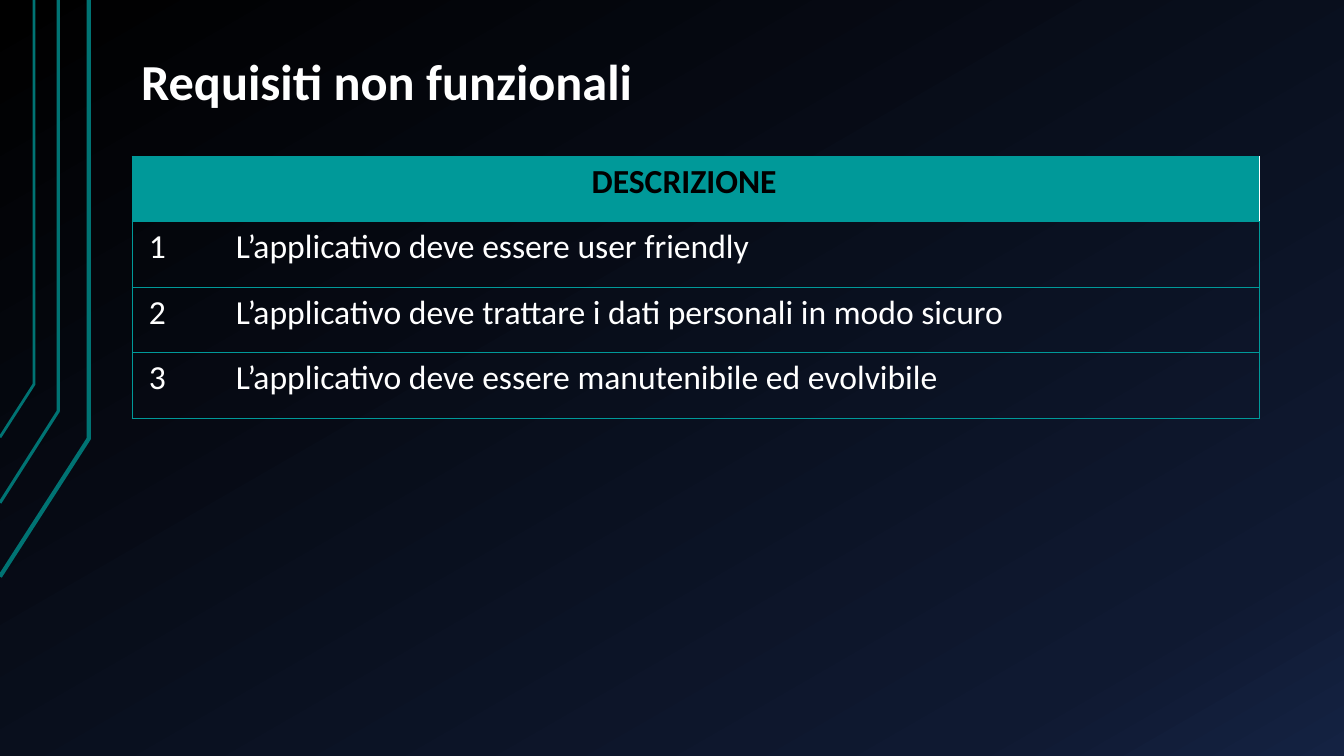
import copy
from dataclasses import dataclass

import pptx
import pptx.dml.color
import pptx.enum.text
import pptx.oxml
import pptx.oxml.ns
import pptx.util
from pptx.util import Cm


@dataclass(frozen=True)
class Theme:
    font: str = "Calibri"
    title_size: float = 36
    table_size: float = 24
    white: str = "FFFFFF"
    black: str = "000000"
    teal: str = "009999"
    dark_teal: str = "007373"
    gradient: tuple = ((0, "000000"), (0.85, "0F1931"), (1, "142242"))


THEME = Theme()
PLAIN_TABLE_STYLE = "{2D5ABB26-0587-4C30-8999-92F81FD0307C}"
REQUIREMENTS = (
    "L’applicativo deve essere user friendly",
    "L’applicativo deve trattare i dati personali in modo sicuro",
    "L’applicativo deve essere manutenibile ed evolvibile",
)


def rgb(value):
    return pptx.dml.color.RGBColor.from_string(value)


def style_font(para, size, color, bold=False):
    para.font.name = THEME.font
    para.font.size = pptx.util.Pt(size)
    para.font.bold = bold
    para.font.color.rgb = rgb(color)


def paint_background(page):
    fill = page.background.fill
    fill.gradient()
    fill.gradient_angle = 300
    last_stop = fill._fill._gradFill.gsLst[-1]
    last_stop.addprevious(copy.deepcopy(last_stop))
    for stop, (position, color) in zip(fill.gradient_stops, THEME.gradient):
        stop.position = position
        stop.color.rgb = rgb(color)


def add_corner_lines(page, left, top):
    # Each line: horizontal reach, height of the bend, height at the edge, width
    lines = ((2.24, 11.05, 14.53, 3), (1.47, 10.36, 12.67, 2.25), (0.86, 9.68, 11.02, 2))
    for reach, bend, end, width in lines:
        builder = page.shapes.build_freeform(left, top + Cm(end))
        builder.add_line_segments(
            [(left + Cm(reach), top + Cm(bend)), (left + Cm(reach), top)], close=False)
        shape = builder.convert_to_shape()
        shape.shadow.inherit = False
        shape.fill.background()
        shape.line.color.rgb = rgb(THEME.dark_teal)
        shape.line.width = pptx.util.Pt(width)


def place_title(page, left, top, width, height):
    title = page.shapes.title
    title.left, title.top, title.width, title.height = left, top, width, height
    frame = title.text_frame
    frame.word_wrap = True
    frame.auto_size = pptx.enum.text.MSO_AUTO_SIZE.SHAPE_TO_FIT_TEXT
    frame.vertical_anchor = pptx.enum.text.MSO_ANCHOR.MIDDLE
    para = frame.paragraphs[0]
    para.text = "Requisiti non funzionali"
    para.alignment = pptx.enum.text.PP_ALIGN.LEFT
    style_font(para, THEME.title_size, THEME.white, bold=True)


def set_borders(cell, **edges):
    """Draw the named edges (L, R, T, B) as (colour, points); the rest stay bare."""
    properties = cell._tc.get_or_add_tcPr()
    namespace = pptx.oxml.ns.nsdecls("a")
    for side in "LRTB":
        color, points = edges.get(side, (None, 0))
        paint = f'<a:solidFill><a:srgbClr val="{color}"/></a:solidFill>' if color else "<a:noFill/>"
        properties.append(pptx.oxml.parse_xml(
            f'<a:ln{side} {namespace} w="{pptx.util.Pt(points)}">{paint}</a:ln{side}>'))


def fill_cell(cell, text, color, bold=False):
    para = cell.text_frame.paragraphs[0]
    para.text = text
    style_font(para, THEME.table_size, color, bold)


def add_requirements_table(page, left, top, width, height):
    number_width = Cm(2.36)
    row_count = len(REQUIREMENTS) + 1
    table = page.shapes.add_table(row_count, 2, left, top, width, height).table
    table._tbl.tblPr.find(pptx.oxml.ns.qn("a:tableStyleId")).text = PLAIN_TABLE_STYLE
    table.horz_banding = False
    table.columns[0].width = number_width
    table.columns[1].width = width - number_width
    for row in table.rows:
        row.height = height // row_count

    # Borders
    teal_edge = (THEME.teal, 0.75)
    for index in range(row_count):
        right_edge = teal_edge if index else (THEME.white, 1)
        set_borders(table.cell(index, 0), L=teal_edge, T=teal_edge, B=teal_edge)
        set_borders(table.cell(index, 1), R=right_edge, T=teal_edge, B=teal_edge)

    # Header
    for cell in table.rows[0].cells:
        cell.fill.solid()
        cell.fill.fore_color.rgb = rgb(THEME.teal)
    heading = table.cell(0, 1)
    heading.margin_left = Cm(9.22)
    fill_cell(heading, "DESCRIZIONE", THEME.black, bold=True)

    # Numbered requirements
    for number, requirement in enumerate(REQUIREMENTS, start=1):
        number_cell, text_cell = table.cell(number, 0), table.cell(number, 1)
        number_cell.margin_left = Cm(0.42)
        fill_cell(number_cell, str(number), THEME.white)
        fill_cell(text_cell, requirement, THEME.white)
        for cell in (number_cell, text_cell):
            cell.fill.background()


def build_requirements_page(deck):
    page = deck.slides.add_slide(deck.slide_layouts[5])
    paint_background(page)
    add_corner_lines(page, Cm(0), Cm(0))
    place_title(page, Cm(3.3), Cm(1.12), Cm(29.6), Cm(1.8))
    add_requirements_table(page, Cm(3.33), Cm(3.94), Cm(28.42), Cm(6.6))


def main():
    deck = pptx.Presentation()
    deck.slide_width, deck.slide_height = Cm(33.87), Cm(19.05)
    build_requirements_page(deck)
    deck.save("out.pptx")


if __name__ == "__main__":
    main()
